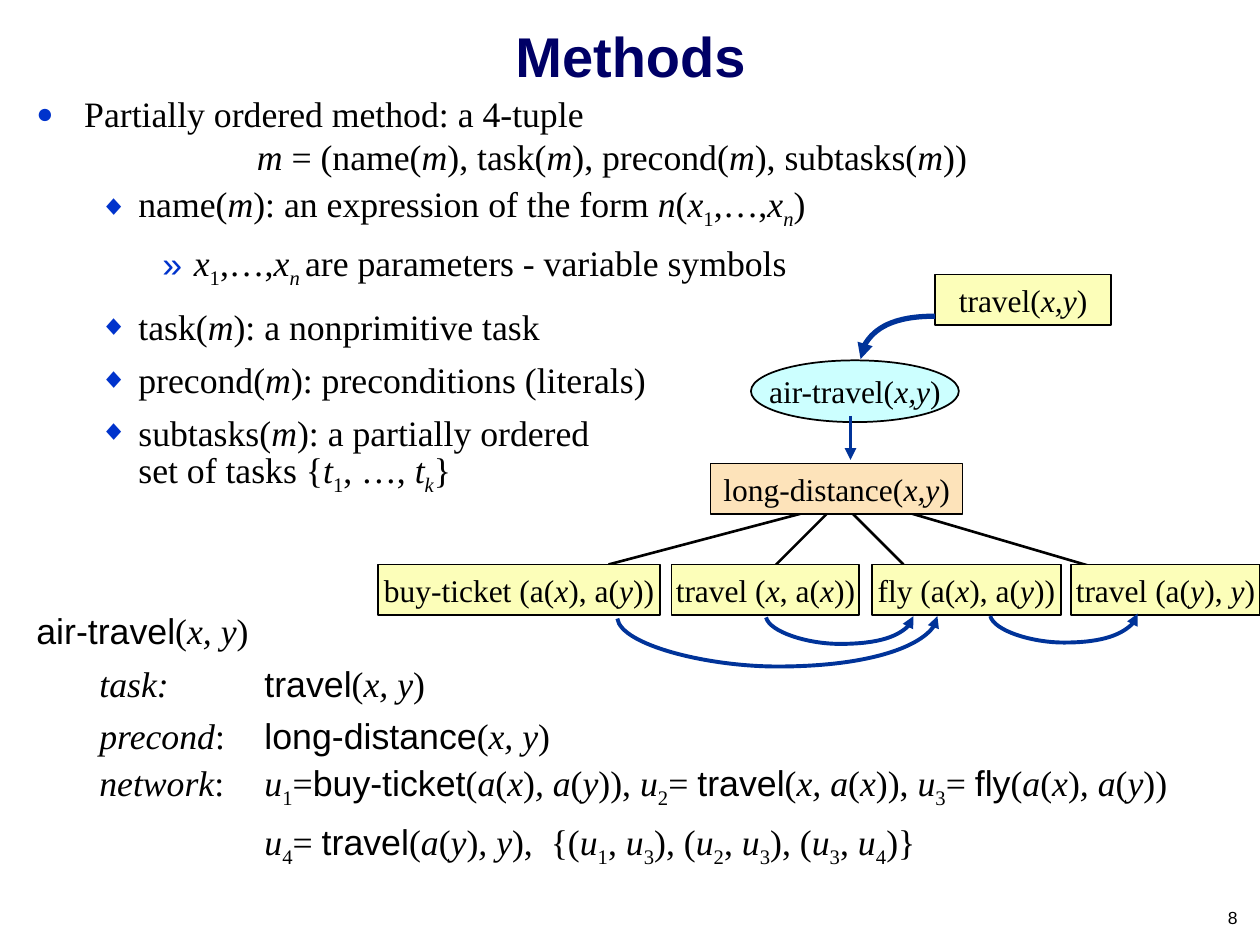
from dataclasses import dataclass
from itertools import pairwise
from lxml.etree import SubElement
from pptx import Presentation
from pptx.dml.color import RGBColor
from pptx.enum.shapes import MSO_CONNECTOR, MSO_SHAPE
from pptx.enum.text import MSO_ANCHOR, PP_ALIGN
from pptx.oxml.ns import qn
from pptx.util import Inches, Pt

SERIF, SANS = "Times New Roman", "Arial"
BLACK, NAVY, BLUE, BULLET_BLUE = "000000", "000066", "003399", "0033CC"
YELLOW, ORANGE, CYAN = "FCFEB9", "FDE3BA", "CCFFFF"
BODY_SIZE = 20.4
BODY_PITCH = 24.6


@dataclass
class Line:
    """Body paragraph; in text, * is italic, ~ subscript, ` the sans font."""
    text: str
    margin: float = 0
    hanging: float = 0
    bullet: str = ""
    bullet_percent: int = 80


@dataclass
class Node:
    text: str
    left: float
    top: float
    width: float
    height: float = 0.4
    fill: str = YELLOW
    shape: MSO_SHAPE = MSO_SHAPE.RECTANGLE


@dataclass
class Curve:
    """Arrow through cubic segments: a start, then three points a segment."""
    points: list[tuple[float, float]]
    width: float = 2.25


def topic(text: str) -> Line:
    return Line(text, 0.81, 0.31, "◆")


def field(text: str) -> Line:
    return Line(text, 1.81, 1.31)


def order_arrow(left: float, top: float, right: float, end: float, bottom: float) -> Curve:
    """Hanging arc from one task to a later one."""
    middle = (left + right) / 2
    bend = (right - left) * 0.22
    drop = (bottom - top) * 0.55
    return Curve([(left, top), (left + 0.03, top + drop), (middle - bend, bottom),
                  (middle, bottom), (middle + bend * 1.25, bottom),
                  (right, end + drop), (right, end)])


DEFINITION = [
    Line("Partially ordered method: a 4-tuple", 0.38, 0.38, "●"),
    Line("*m* = (name(*m*), task(*m*), precond(*m*), subtasks(*m*))", 1.75),
    topic("name(*m*): an expression of the form *n*(*x*~1~,…,*x~n~*)"),
    Line("*x*~1~,…,*x~n ~*are parameters - variable symbols", 1.25, 0.25, "»", 100),
    topic("task(*m*): a nonprimitive task"),
    topic("precond(*m*): preconditions (literals)"),
    topic("subtasks(*m*): a partially ordered\nset of tasks {*t*~1~, …, *t~k~*}"),
]
EXAMPLE = [
    Line("`air-travel`(*x, y*)"),
    field("*task:*\t`travel`(*x, y*)"),
    field("*precond*:\t`long-distance`(*x, y*)"),
    field("*network*:\t*u*~1~=`buy-ticket`(*a*(*x*)*, a*(*y*)), *u*~2~= `travel`(*x, a*(*x*)), "
          "*u*~3~= `fly`(*a*(*x*)*, a*(*y*))"),
    Line("*u*~4~= `travel`(*a*(*y*)*, y*),  {(*u*~1~, *u*~3~), (*u*~2~, *u*~3~), "
         "(*u*~3~, *u*~4~)}", 1.81),
]
TASK_TOP = 4.48
NODES = [
    Node("travel(*x,y*)", 7.42, 2.18, 1.4),
    Node("buy-ticket (a(*x*), a(*y*))", 3, TASK_TOP, 2.24),
    Node("travel (*x*, a(*x*))", 5.33, TASK_TOP, 1.49),
    Node("fly (a(*x*), a(*y*))", 6.92, TASK_TOP, 1.5),
    Node("travel (a(*y*), *y*)", 8.5, TASK_TOP, 1.5),
    Node("long-distance(*x,y*)", 5.64, 3.68, 2, fill=ORANGE),
    Node("air-travel(*x,y*)", 5.96, 2.86, 1.65, 0.49, CYAN, MSO_SHAPE.OVAL),
]
BRANCHES = [(6.42, 4.06, 4.83, 4.48), (6.58, 4.06, 6.08, 4.56),
            (6.75, 4.06, 7.17, 4.48), (7.01, 4.01, 8.71, 4.51)]
CURVES = [
    Curve([(7.42, 2.51), (7.09, 2.51), (6.83, 2.66), (6.83, 2.85)], 3),
    order_arrow(6.08, 4.9, 7.25, 4.89, 5.11),
    order_arrow(4.9, 4.91, 7.44, 4.89, 5.29),
    order_arrow(7.86, 4.89, 9.03, 4.87, 5.1),
]


def color(value: str) -> RGBColor:
    return RGBColor.from_string(value)


def write(para, text: str, size: float, ink: str = BLACK, font: str = SERIF, bold: bool = False):
    """Add the marked-up text as formatted runs."""
    marks = [-1] + [i for i, letter in enumerate(text) if letter in "*~`\n"] + [len(text)]
    active = set()
    for start, end in pairwise(marks):
        piece = text[start + 1:end]
        if piece:
            span = para.add_run()
            span.text = piece
            span.font.size = Pt(size)
            span.font.name = SANS if "`" in active else font
            span.font.bold = bold
            span.font.italic = "*" in active
            span.font.color.rgb = color(ink)
            if "~" in active:
                span._r.get_or_add_rPr().set("baseline", "-25000")
        mark = text[end:end + 1]
        if mark == "\n":
            para.add_line_break()
        else:
            active ^= {mark}


def add_text_box(page, left: float, top: float, width: float, height: float):
    box = page.shapes.add_textbox(Inches(left), Inches(top), Inches(width), Inches(height))
    box.text_frame.word_wrap = True
    return box.text_frame


def add_body(page, lines: list[Line], top: float, height: float):
    frame = add_text_box(page, 0.19, top, 9.81, height)
    for index, line in enumerate(lines):
        para = frame.add_paragraph() if index else frame.paragraphs[0]
        properties = para._p.get_or_add_pPr()
        properties.set("marL", str(Inches(line.margin)))
        properties.set("indent", str(-Inches(line.hanging)))
        if line.bullet:
            tint = SubElement(properties, qn("a:buClr"))
            SubElement(tint, qn("a:srgbClr"), val=BULLET_BLUE)
            SubElement(properties, qn("a:buSzPct"), val=str(line.bullet_percent * 1000))
            SubElement(properties, qn("a:buFont"), typeface=SANS)
            SubElement(properties, qn("a:buChar"), char=line.bullet)
        else:
            SubElement(properties, qn("a:buNone"))
        para.line_spacing = Pt(BODY_PITCH)
        continues = index and not line.bullet and lines[index - 1].bullet
        para.space_before = Pt(5.5 if index and not continues else 0)
        para.space_after = Pt(3.4 if "~" in line.text else 0)
        write(para, line.text, BODY_SIZE)


def add_node(page, node: Node):
    box = page.shapes.add_shape(node.shape, Inches(node.left), Inches(node.top),
                                Inches(node.width), Inches(node.height))
    box.shadow.inherit = False
    box.fill.solid()
    box.fill.fore_color.rgb = color(node.fill)
    box.line.color.rgb = color(BLACK)
    box.line.width = Pt(1)
    frame = box.text_frame
    frame.word_wrap = False
    frame.vertical_anchor = MSO_ANCHOR.MIDDLE
    frame.paragraphs[0].alignment = PP_ALIGN.CENTER
    write(frame.paragraphs[0], node.text, 18)


def set_stroke(shape, ink: str, width: float, arrow: bool):
    shape.line.color.rgb = color(ink)
    shape.line.width = Pt(width)
    properties = shape._element.spPr
    if arrow:
        SubElement(properties.find(qn("a:ln")), qn("a:tailEnd"), type="triangle")
    if properties.find(qn("a:effectLst")) is None:
        SubElement(properties, qn("a:effectLst"))


def add_line(page, ends: tuple, ink: str = BLACK, width: float = 1.5, arrow: bool = False):
    line = page.shapes.add_connector(MSO_CONNECTOR.STRAIGHT, *map(Inches, ends))
    set_stroke(line, ink, width, arrow)


def add_curve(page, curve: Curve):
    start, *rest = [(Inches(x), Inches(y)) for x, y in curve.points]
    builder = page.shapes.build_freeform(*start)
    builder.add_line_segments(rest, close=False)
    shape = builder.convert_to_shape()
    shape.fill.background()
    path = next(shape._element.iter(qn("a:path")))
    steps = path.findall(qn("a:lnTo"))
    for first in range(0, len(steps), 3):
        bezier = SubElement(path, qn("a:cubicBezTo"))
        for step in steps[first:first + 3]:
            bezier.append(step[0])
            path.remove(step)
    set_stroke(shape, BLUE, curve.width, True)


def main():
    deck = Presentation()
    deck.slide_width, deck.slide_height = Inches(10), Inches(7.5)
    page = deck.slides.add_slide(deck.slide_layouts[6])
    number = add_text_box(page, 9.4, 7.15, 0.52, 0.26).paragraphs[0]
    number.alignment = PP_ALIGN.RIGHT
    write(number, "8", 10, font=SANS)
    add_body(page, DEFINITION, 0.68, 3.5)
    add_body(page, EXAMPLE, 4.78, 2.41)
    for ends in BRANCHES:
        add_line(page, ends)
    for node in NODES:
        add_node(page, node)
    add_line(page, (6.75, 3.3, 6.75, 3.65), BLUE, 2.25, True)
    for curve in CURVES:
        add_curve(page, curve)
    title = add_text_box(page, 0.17, 0.06, 9.67, 0.69)
    title.vertical_anchor = MSO_ANCHOR.BOTTOM
    title.paragraphs[0].alignment = PP_ALIGN.CENTER
    write(title.paragraphs[0], "Methods", 32, NAVY, SANS, True)
    deck.save("out.pptx")


if __name__ == "__main__":
    main()
